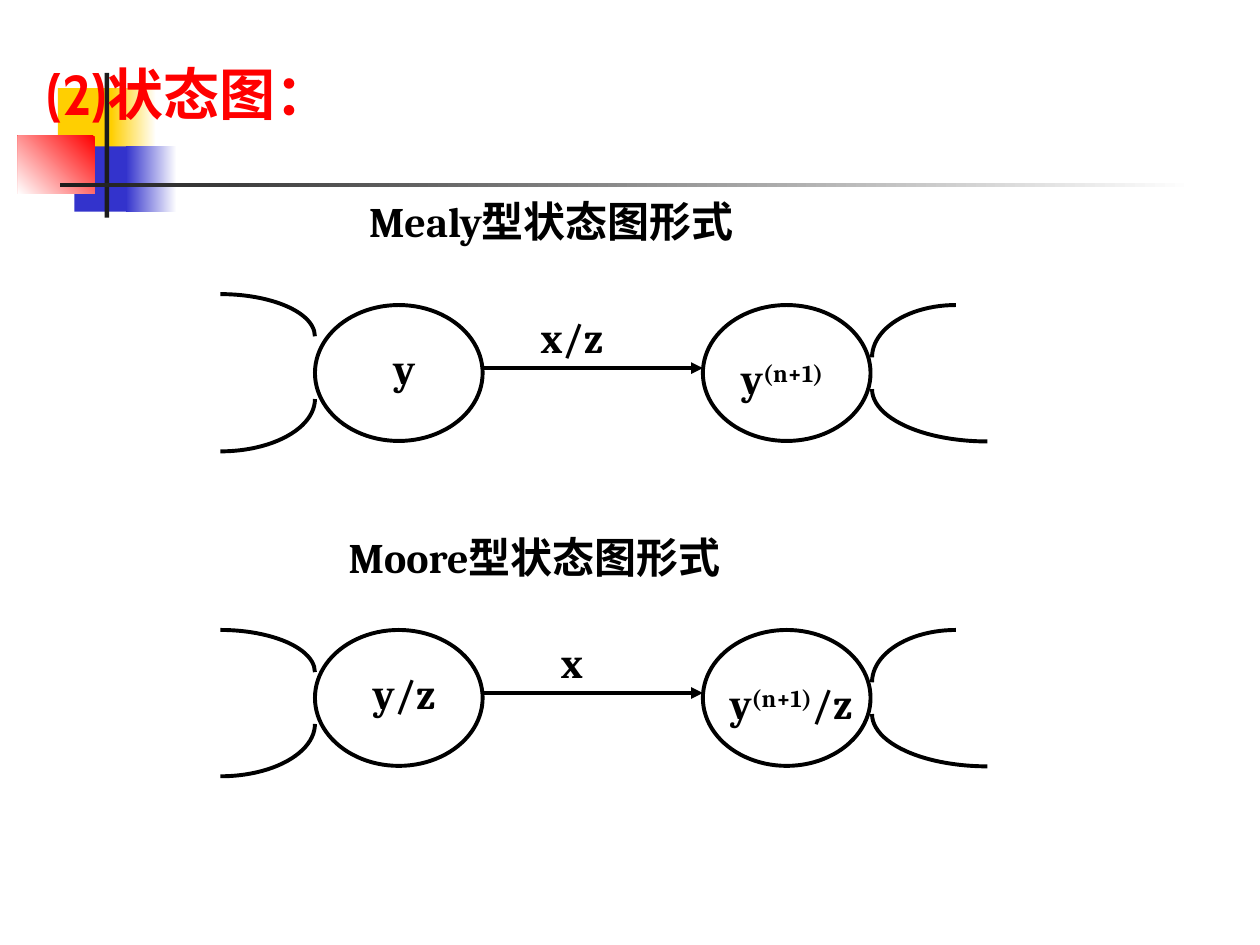
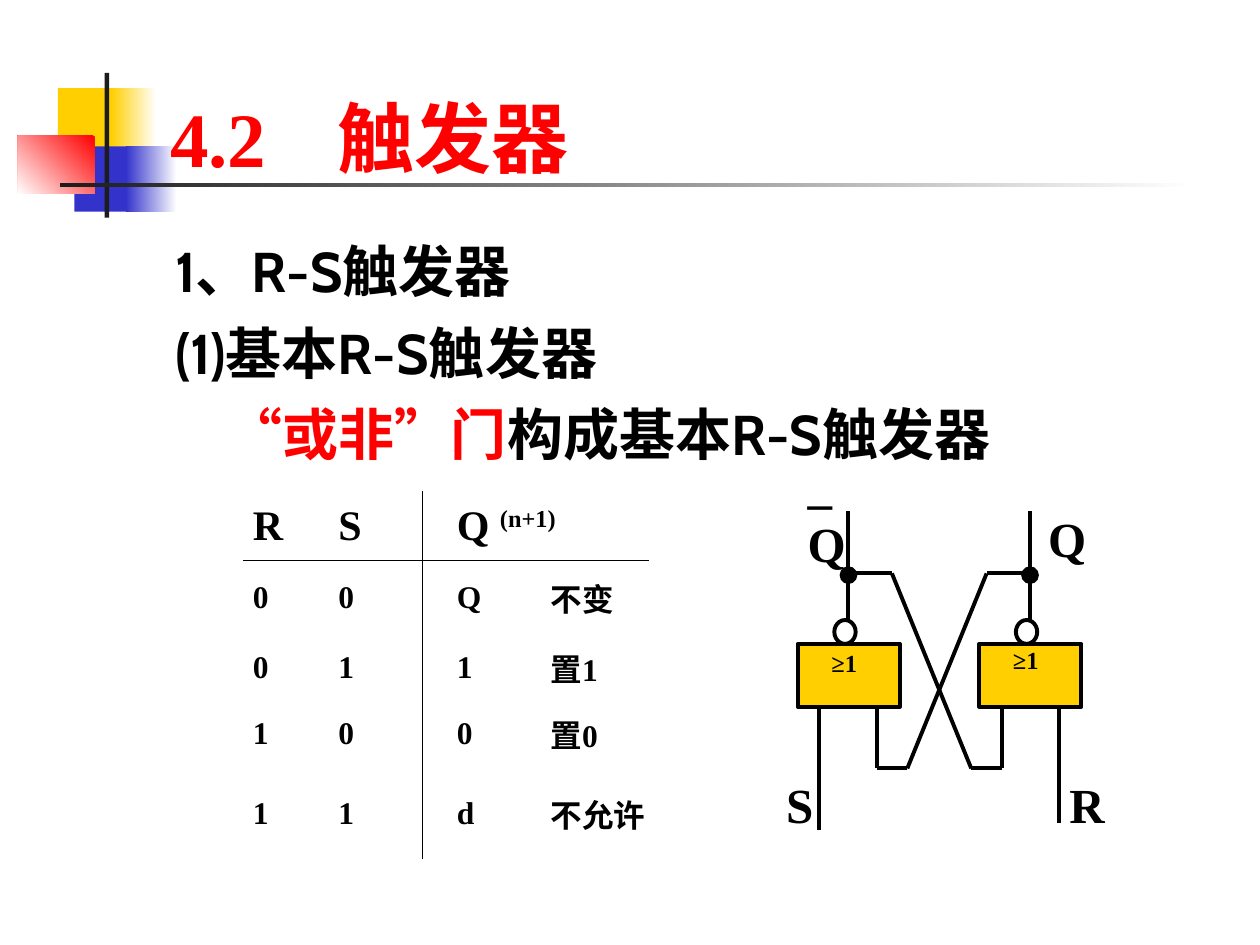
from itertools import pairwise

from lxml.etree import SubElement as Sub
from pptx import Presentation
from pptx.dml.color import RGBColor as RGB
from pptx.enum.shapes import MSO_CONNECTOR as Link, MSO_SHAPE as Kind
from pptx.enum.text import MSO_ANCHOR as Anchor, PP_ALIGN as Align
from pptx.oxml.ns import qn
from pptx.util import Cm, Pt

COLORS = {"ink": "000000", "red": "FF0000", "gold": "FFCF01",
          "blue": "3333CC", "dark": "1C1C1C", "white": "FFFFFF"}
SANS, SERIF, TIMES = "Cabin", "Cambria", "Times New Roman"
PLAIN_GRID = "{2D5ABB26-0587-4C30-8999-92F81FD0307C}"
RAISED = {"raised": True}


def tone(name):
    return RGB.from_string(COLORS[name])


def style(run, size, font, color, raised=False):
    run.font.size, run.font.name, run.font.bold = Pt(size), font, True
    run.font.color.rgb = tone(color)
    if raised:
        run._r.get_or_add_rPr().set("baseline", "30000")


def write(frame, text, size=24, font=SERIF, color="ink", align=Align.LEFT,
          before=0, tab=None, alt=None):
    """Fill a frame line by line; parts between bars take the alt format."""
    base = {"size": size, "font": font, "color": color}
    for i, line in enumerate(text.split("\n")):
        par = frame.add_paragraph() if i else frame.paragraphs[0]
        par.alignment = align
        if i and before:
            par.space_before = Pt(before)
        if tab:
            stops = Sub(par._p.get_or_add_pPr(), qn("a:tabLst"))
            Sub(stops, qn("a:tab"), pos=str(Cm(tab)), algn="l")
        for k, part in enumerate(line.split("|")):
            if part:
                run = par.add_run()
                run.text = part
                style(run, **(base | (alt or {}) if k % 2 else base))


class Deck:
    def __init__(self):
        self.prs = Presentation()
        self.prs.slide_width, self.prs.slide_height = Cm(25.4), Cm(19.05)

    def page(self):
        """Start a slide with the shared corner blocks and rules."""
        self.slide = self.prs.slides.add_slide(self.prs.slide_layouts[6])
        self.block(1.17, 1.78, 1.22, 1.32, fill="gold")
        self.block(2.24, 1.78, 0.91, 1.32, fade=("white", "gold", 180))
        self.block(1.5, 2.95, 1.17, 1.32, fill="blue")
        self.block(2.54, 2.95, 1.02, 1.32, fade=("white", "blue", 180))
        self.block(0.36, 2.74, 1.55, 1.17, fade=("red", "white", 225))
        self.block(2.11, 1.47, 0.09, 2.92, fill="dark")
        self.block(1.22, 3.68, 22.86, 0.09, fade=("white", "dark", 180))

    def block(self, x, y, w, h, kind=Kind.RECTANGLE, fill=None, fade=None, line=0):
        shape = self.slide.shapes.add_shape(kind, Cm(x), Cm(y), Cm(w), Cm(h))
        shape.shadow.inherit = False
        if fade:
            *ends, angle = fade
            shape.fill.gradient()
            shape.fill.gradient_angle = angle
            for stop, name in zip(shape.fill.gradient_stops, ends):
                stop.color.rgb = tone(name)
        elif fill:
            shape.fill.solid()
            shape.fill.fore_color.rgb = tone(fill)
        else:
            shape.fill.background()
        if line:
            shape.line.width = Pt(line)
            shape.line.color.rgb = tone("ink")
        else:
            shape.line.fill.background()
        return shape

    def oval(self, x, y, w, h, **look):
        self.block(x, y, w, h, kind=Kind.OVAL, **({"line": 2.25} | look))

    def arc(self, x, y, w, h, start):
        """Draw the quarter arc that runs clockwise from start degrees."""
        shape = self.block(x, y, w, h, kind=Kind.ARC, line=2.25)
        for i, angle in enumerate((start, (start + 90) % 360)):
            shape.adjustments[i] = angle * 0.6

    def wire(self, *points, arrow=False):
        for (x1, y1), (x2, y2) in pairwise(points):
            line = self.slide.shapes.add_connector(
                Link.STRAIGHT, Cm(x1), Cm(y1), Cm(x2), Cm(y2))
            line.line.width = Pt(2.25)
            line.line.color.rgb = tone("ink")
            if arrow:
                Sub(line.line._get_or_add_ln(), qn("a:tailEnd"), type="triangle")
            Sub(line._element.spPr, qn("a:effectLst"))

    def text(self, x, y, w, h, words, anchor=Anchor.TOP, **look):
        box = self.slide.shapes.add_textbox(Cm(x), Cm(y), Cm(w), Cm(h))
        box.text_frame.word_wrap = True
        box.text_frame.vertical_anchor = anchor
        write(box.text_frame, words, **look)

    def label(self, mid, y, words, w=3.56, **look):
        self.text(mid - w / 2, y, w, 1.27, words, align=Align.CENTER, **look)

    def table(self, x, y, widths, heights, pads, rows):
        """Draw a truth table ruled below its head and after its inputs."""
        grid = self.slide.shapes.add_table(
            len(rows), len(widths), Cm(x), Cm(y),
            Cm(sum(widths)), Cm(sum(heights))).table
        grid.first_row = grid.horz_banding = False
        grid._tbl.tblPr.find(qn("a:tableStyleId")).text = PLAIN_GRID
        for col, width in zip(grid.columns, widths):
            col.width = Cm(width)
        for r, row in enumerate(rows):
            grid.rows[r].height = Cm(heights[r])
            for c, words in enumerate(row):
                cell = grid.cell(r, c)
                cell.margin_left = Cm(pads[c])
                cell.margin_right = cell.margin_top = cell.margin_bottom = 0
                cell.vertical_anchor = Anchor.MIDDLE
                if c == 1:
                    self.edge(cell, "a:lnR")
                if r == 0:
                    self.edge(cell, "a:lnB")
                cell.fill.background()
                write(cell.text_frame, words, size=18 if r else 24,
                      font=TIMES, alt=RAISED)
        grid.cell(0, 2).merge(grid.cell(0, 3))

    def edge(self, cell, side):
        rule = Sub(cell._tc.get_or_add_tcPr(), qn(side), w=str(Pt(0.75)))
        Sub(Sub(rule, qn("a:solidFill")), qn("a:srgbClr"), val=COLORS["ink"])


def graph(deck, top, lift, now, move, after, mid):
    """Draw two states joined by an arrow, with open arcs on both sides."""
    for x in (6.35, 14.17):
        deck.oval(x, top, 3.38, 2.74)
    deck.wire((9.73, top + 1.27), (14.17, top + 1.27), arrow=True)
    deck.arc(2.54, top - lift, 3.81, 1.7, 270)
    deck.arc(2.54, top + 0.84, 3.81, 2.11, 0)
    deck.arc(17.58, top, 3.38, 2.11, 180)
    deck.arc(17.58, top + 0.64, 4.65, 2.11, 90)
    deck.label(8.15, top + 0.64, now)
    deck.label(mid, top + 0.84, after, alt=RAISED)
    deck.label(11.53, top, move)


def states(deck):
    deck.page()
    deck.text(0.69, 1.07, 23.7, 1.6, "(2)状态图：", size=32, font=SANS, color="red")
    deck.text(7.19, 3.81, 10.36, 1.27, "Mealy型状态图形式")
    graph(deck, 6.15, 0.22, "y", "x/z", "y|(n+1)|", 15.77)
    deck.text(6.78, 10.59, 10.36, 1.27, "Moore型状态图形式")
    graph(deck, 12.7, 0, "y/z", "x", "y|(n+1)|/z", 15.95)


def latch(deck):
    """Draw two cross-coupled gates with their leads and names."""
    left, step, base, axis = 16.08, 3.66, 14.22, 37.87
    for x, end, note in ((left, 16.74, 12.93), (left + step, 16.59, 12.88)):
        deck.block(x, 12.98, 2.06, 1.27, fill="gold", line=2.25)
        deck.oval(x + 0.74, 12.5, 0.43, 0.48)
        deck.wire((x + 1.02, 12.5), (x + 1.02, 10.31))
        lead = x + (0.43 if x == left else 1.6)
        deck.wire((lead, base), (lead, end))
        deck.oval(x + 0.86, 11.43, 0.33, 0.33, fill="ink", line=0.75)
        deck.label(x + 0.94, note, "≥1", w=1.52, size=14, font=TIMES)
    cross = [(17.1, 11.56), (17.98, 11.56), (19.58, 15.49),
             (20.19, 15.49), (20.19, base)]
    deck.wire(*cross)
    deck.wire(*((axis - x, y) for x, y in cross))
    for x, y, name in ((21.31, 15.49, "R"), (15.6, 15.49, "S"),
                       (20.88, 10.13, "Q"), (16.03, 9.04, "_\nQ")):
        deck.text(x, y, 1.5, 1.45, name, size=28, font=TIMES)


def flops(deck):
    deck.page()
    deck.text(3.18, 0.64, 11.33, 3.18, "4.2\t|触发器|", anchor=Anchor.BOTTOM,
              size=44, font=TIMES, color="red", tab=3.38, alt={"font": SANS})
    deck.text(3.28, 4.65, 21.59, 5.2,
              "1、R-S触发器\n(1)基本R-S触发器\n\t|“或非”门|构成基本R-S触发器",
              size=32, font=SANS, before=8, tab=1.04, alt={"color": "red"})
    latch(deck)
    deck.table(4.9, 9.9, widths=(1.32, 2.29, 2.03, 2.54),
               heights=(1.4, 1.52, 1.27, 1.4, 1.83), pads=(0.2, 0.6, 0.7, 0.56),
               rows=(("R", "S", "Q |(n+1)|", ""),
                     ("0", "0", "Q", "不变"),
                     ("0", "1", "1", "置1"),
                     ("1", "0", "0", "置0"),
                     ("1", "1", "d", "不允许")))


def main():
    deck = Deck()
    states(deck)
    flops(deck)
    deck.prs.save("out.pptx")


if __name__ == "__main__":
    main()
